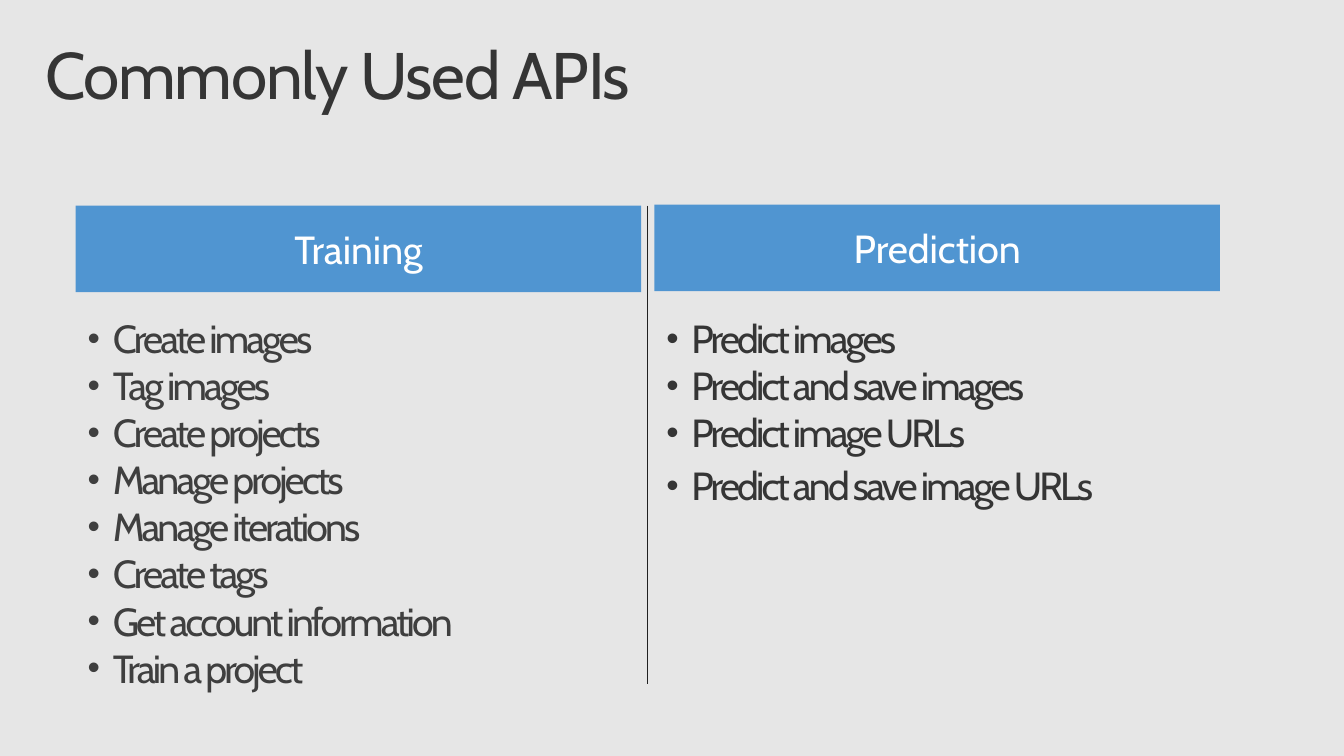
from pptx import Presentation
from pptx.dml.color import RGBColor
from pptx.enum.shapes import MSO_CONNECTOR, MSO_SHAPE
from pptx.enum.text import MSO_ANCHOR, MSO_AUTO_SIZE, PP_ALIGN
from pptx.oxml.ns import qn
from pptx.util import Inches, Pt
from lxml import etree

LEFT, CENTER = PP_ALIGN.LEFT, PP_ALIGN.CENTER
TOP, MIDDLE = MSO_ANCHOR.TOP, MSO_ANCHOR.MIDDLE
RECTANGLE, STRAIGHT = MSO_SHAPE.RECTANGLE, MSO_CONNECTOR.STRAIGHT
NO_AUTOFIT, GROW = MSO_AUTO_SIZE.NONE, MSO_AUTO_SIZE.SHAPE_TO_FIT_TEXT

# Two-column grid, in inches
COLUMN_LEFT, COLUMN_STEP, COLUMN_WIDTH = 0.75, 5.74, 5.61
HEADER_HEIGHT, LIST_TOP = 0.86, 3.07
DIVIDER_X, DIVIDER_TOP, DIVIDER_BOTTOM = 6.42, 2.04, 6.79

# Heading, header top, list height, text colour, items with space before
COLUMNS = [
    ("Training", 2.04, 4.25, "3F3F3F",
     [("Create images", 0), ("Tag images", 0), ("Create projects", 0),
      ("Manage projects", 0), ("Manage iterations", 0), ("Create tags", 0),
      ("Get account information", 0), ("Train a project", 0)]),
    ("Prediction", 2.03, 2.95, "353535",
     [("Predict images", 0), ("Predict and save images", 0),
      ("Predict image URLs", 0), ("Predict and save image URLs", 4)]),
]


def color(value):
    return RGBColor.from_string(value)


def add_bullet(paragraph):
    properties = paragraph._p.get_or_add_pPr()
    properties.set("marL", str(Inches(0.25)))
    properties.set("indent", str(-Inches(0.25)))
    etree.SubElement(properties, qn("a:buSzPct")).set("val", "90000")
    etree.SubElement(properties, qn("a:buFont")).set("typeface", "Arial")
    etree.SubElement(properties, qn("a:buChar")).set("char", "•")


def write(paragraph, text, size=28, fill="FFFFFF", align=LEFT, spacing=0,
          before=0, line_spacing=None, bullet=False):
    if bullet:
        add_bullet(paragraph)
    paragraph.alignment = align
    paragraph.line_spacing = line_spacing
    if before:
        paragraph.space_before = Pt(before)
    run = paragraph.add_run()
    run.text = text
    run.font.name = "Cabin"
    run.font.size = Pt(size)
    run.font.color.rgb = color(fill)
    if spacing:
        run.font._element.set("spc", str(spacing * 100))


def set_title(slide, text):
    title = slide.shapes.title
    title.left, title.top = Inches(0.29), Inches(0.32)
    title.width, title.height = Inches(12.75), Inches(0.98)
    frame = title.text_frame
    frame.auto_size, frame.vertical_anchor = NO_AUTOFIT, TOP
    frame.margin_left = frame.margin_right = Inches(0.16)
    frame.margin_top = frame.margin_bottom = Inches(0.1)
    write(frame.paragraphs[0], text, size=47, fill="353535", spacing=-1,
          line_spacing=0.9)


def add_header(slide, text, left, top):
    header = slide.shapes.add_shape(
        RECTANGLE, Inches(left), Inches(top),
        Inches(COLUMN_WIDTH), Inches(HEADER_HEIGHT))
    header.shadow.inherit = False
    header.fill.solid()
    header.fill.fore_color.rgb = color("5095D1")
    header.line.fill.background()
    header.text_frame.vertical_anchor = MIDDLE
    write(header.text_frame.paragraphs[0], text, align=CENTER)


def add_list(slide, items, left, height, fill):
    box = slide.shapes.add_textbox(
        Inches(left), Inches(LIST_TOP), Inches(COLUMN_WIDTH), Inches(height))
    frame = box.text_frame
    frame.word_wrap, frame.auto_size = True, GROW
    for index, (item, before) in enumerate(items):
        paragraph = frame.add_paragraph() if index else frame.paragraphs[0]
        write(paragraph, item, fill=fill, spacing=-2, before=before,
              bullet=True)


def add_divider(slide):
    divider = slide.shapes.add_connector(
        STRAIGHT, Inches(DIVIDER_X), Inches(DIVIDER_TOP),
        Inches(DIVIDER_X), Inches(DIVIDER_BOTTOM))
    divider.line.color.rgb = color("212121")
    divider.line.width = Pt(0.75)
    etree.SubElement(divider._element.spPr, qn("a:effectLst"))


def main():
    deck = Presentation()
    deck.slide_width, deck.slide_height = Inches(13.33), Inches(7.5)
    slide = deck.slides.add_slide(deck.slide_layouts[5])
    slide.background.fill.solid()
    slide.background.fill.fore_color.rgb = color("E6E6E6")

    set_title(slide, "Commonly Used APIs")
    add_divider(slide)

    # One header and one list per column
    for index, (heading, top, height, fill, items) in enumerate(COLUMNS):
        left = COLUMN_LEFT + index * COLUMN_STEP
        add_header(slide, heading, left, top)
        add_list(slide, items, left + 0.02, height, fill)

    deck.save("out.pptx")


if __name__ == "__main__":
    main()
